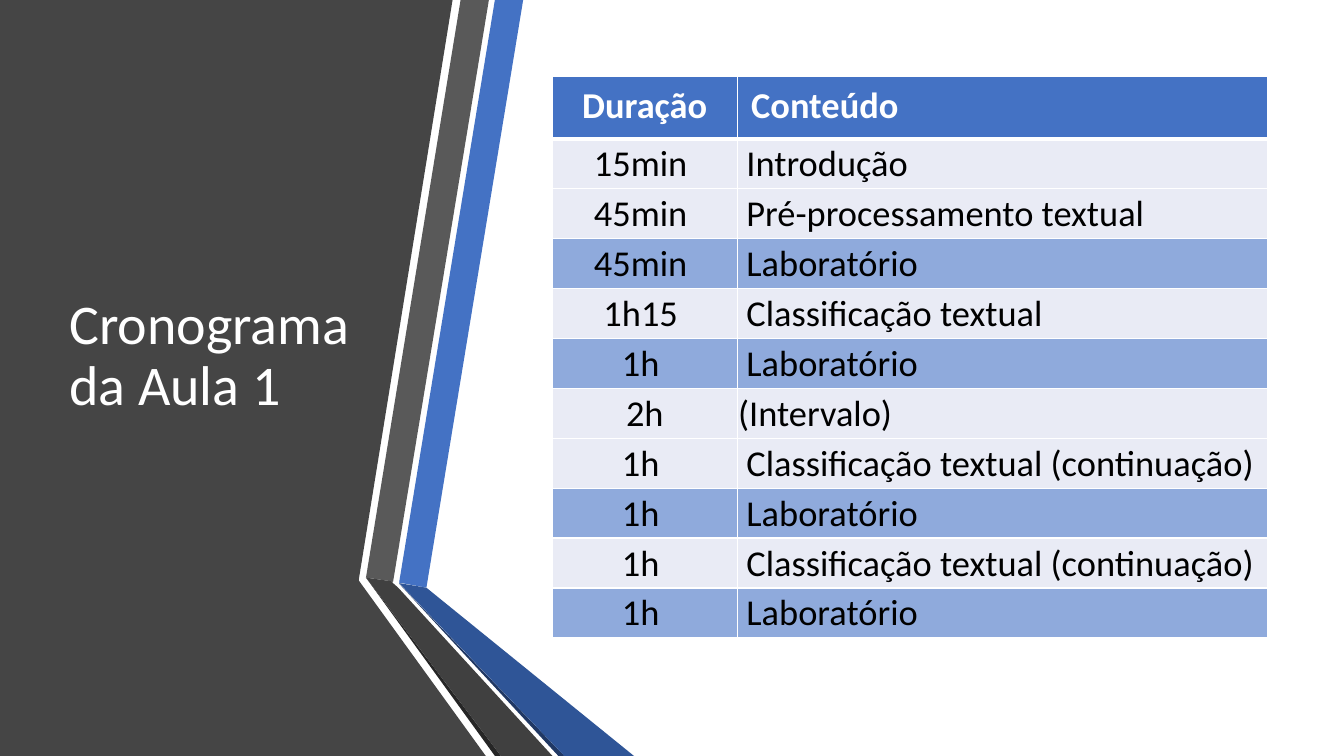
from pptx import Presentation
from pptx.dml.color import RGBColor
from pptx.enum.text import MSO_ANCHOR as Anchor, PP_ALIGN as Align
from pptx.oxml.ns import qn
from pptx.util import Pt
from lxml.etree import SubElement

WHITE, BLUE, PALE, MID = "FFFFFF", "4472C4", "E9EBF5", "8FAADC"

RIBBONS = [
    ("454545", [(0, 0), (323.3, 0), (256.3, 414), (256.3, 414.7), (347, 540), (0, 540)]),
    (BLUE, [(285.1, 416.2), (304.6, 419.8), (373.7, 0), (353.5, 0)]),
    ("595959", [(349.2, 0), (329, 0), (261.4, 412.6), (280.8, 415.4)]),
    ("262626", [(261.4, 412.6), (353.5, 540), (357.8, 540)]),
    ("203864", [(285.1, 416.9), (398.9, 540), (403.2, 540)]),
    ("2F5597", [(285.1, 416.5), (403.2, 540), (452.9, 540), (304.6, 419.8)]),
    ("404040", [(394.6, 540), (284.4, 419.8), (280.1, 416), (280.8, 415.4),
                (261.4, 412.6), (357.8, 540)]),
]

SCHEDULE = [
    ("Duração", "Conteúdo"),
    ("15min ", " Introdução"),
    ("45min ", " Pré-processamento textual"),
    ("45min ", " Laboratório"),
    ("1h15 ", " Classificação textual"),
    ("1h ", " Laboratório"),
    ("2h", "(Intervalo)"),
    ("1h ", " Classificação textual (continuação)"),
    ("1h ", " Laboratório"),
    ("1h ", " Classificação textual (continuação)"),
    ("1h ", " Laboratório"),
]


def color(value):
    """Turn a hex string into a colour."""
    return RGBColor.from_string(value)


def write(frame, text, size, ink, bold=False, align=Align.LEFT, anchor=Anchor.MIDDLE,
          spacing=None):
    """Put one formatted paragraph into a text frame."""
    frame.word_wrap = True
    frame.vertical_anchor = anchor
    para = frame.paragraphs[0]
    para.alignment = align
    para.line_spacing = spacing
    span = para.add_run()
    span.text = text
    span.font.name = "Calibri"
    span.font.size = Pt(size)
    span.font.bold = bold
    span.font.color.rgb = color(ink)


def draw_ribbons(page, left, top):
    """Draw the dark panel and the folded ribbons from the given corner."""
    for fill, points in RIBBONS:
        start, *rest = [(Pt(left + x), Pt(top + y)) for x, y in points]
        outline = page.shapes.build_freeform(*start, scale=1.0)
        outline.add_line_segments(rest, close=True)
        shape = outline.convert_to_shape()
        shape.shadow.inherit = False
        shape.fill.solid()
        shape.fill.fore_color.rgb = color(fill)
        shape.line.fill.background()


def draw_title(page, left, top, width, height):
    """Place the slide title in its box."""
    box = page.shapes.add_textbox(Pt(left), Pt(top), Pt(width), Pt(height))
    write(box.text_frame, "Cronograma da Aula 1", 40, WHITE, spacing=0.9)


def add_borders(cell, bottom):
    """Give a cell white borders, with its own bottom width."""
    props = cell._tc.get_or_add_tcPr()
    fill = props.find(qn("a:solidFill"))
    for side, weight in (("L", 1), ("R", 1), ("T", 1), ("B", bottom)):
        line = SubElement(props, qn(f"a:ln{side}"), w=str(Pt(weight)))
        SubElement(SubElement(line, qn("a:solidFill")), qn("a:srgbClr"), val=WHITE)
    props.append(fill)


def draw_schedule(page, left, top, width, height):
    """Fill the box with the schedule table, laboratory rows in a deeper blue."""
    header_height, first_width = 44.6, 132
    row_height = (height - header_height) / (len(SCHEDULE) - 1)
    table = page.shapes.add_table(len(SCHEDULE), 2, Pt(left), Pt(top),
                                  Pt(width), Pt(height)).table
    table.columns[0].width = Pt(first_width)
    table.columns[1].width = Pt(width - first_width)
    for i, texts in enumerate(SCHEDULE):
        header = i == 0
        table.rows[i].height = Pt(header_height if header else row_height)
        fill = BLUE if header else MID if "Laboratório" in texts[1] else PALE
        for j, text in enumerate(texts):
            cell = table.cell(i, j)
            cell.margin_left = cell.margin_right = Pt(10 if header else 0.7)
            cell.margin_top = Pt(5 if header else 0.7)
            cell.margin_bottom = Pt(5 if header else 0)
            cell.fill.solid()
            cell.fill.fore_color.rgb = color(fill)
            write(cell.text_frame, text, 26, WHITE if header else "000000", bold=header,
                  align=Align.LEFT if j else Align.CENTER)
            cell.vertical_anchor = Anchor.TOP if header else Anchor.MIDDLE
            add_borders(cell, bottom=3 if header or i == 0 else 1)


def main():
    """Build the slide and save it."""
    deck = Presentation()
    deck.slide_width, deck.slide_height = Pt(960), Pt(540)
    page = deck.slides.add_slide(deck.slide_layouts[6])
    draw_ribbons(page, 0, 0)
    draw_title(page, 42.5, 54, 219, 402)
    draw_schedule(page, 394.6, 54.7, 511.2, 401)
    deck.save("out.pptx")


if __name__ == "__main__":
    main()
